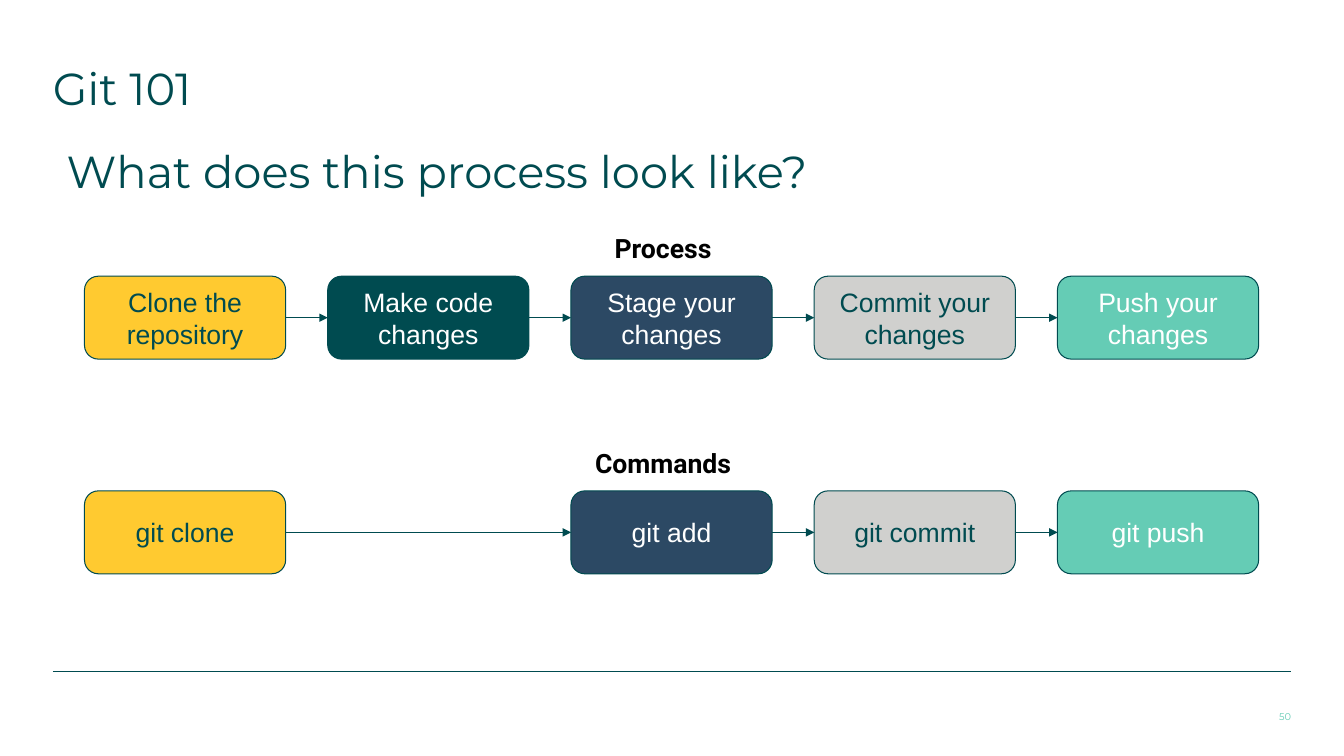
"""Build the Git 101 slide: process steps above their matching commands."""
from lxml import etree
from pptx import Presentation
from pptx.dml.color import RGBColor
from pptx.enum import shapes, text
from pptx.oxml import ns
from pptx.util import Cm, Pt

TEAL = RGBColor(0x00, 0x4B, 0x50)
YELLOW = RGBColor(0xFF, 0xCA, 0x30)
NAVY = RGBColor(0x2C, 0x49, 0x64)
GREY = RGBColor(0xD0, 0xD0, 0xCE)
MINT = RGBColor(0x65, 0xCC, 0xB5)
WHITE = RGBColor(0xFF, 0xFF, 0xFF)
BLACK = RGBColor(0x00, 0x00, 0x00)

TITLE = "Git 101"
QUESTION = "What does this process look like?"
PAGE_NUMBER = "50"
STAGE_COLOURS = [(YELLOW, TEAL), (TEAL, WHITE), (NAVY, WHITE), (GREY, TEAL), (MINT, WHITE)]
ROWS = [
    ("Process", ["Clone the repository", "Make code changes", "Stage your changes",
                 "Commit your changes", "Push your changes"]),
    ("Commands", ["git clone", None, "git add", "git commit", "git push"]),
]

STAGE_LEFT, STAGE_PITCH, STAGE_WIDTH, STAGE_HEIGHT = 2.13, 6.13, 5.07, 2.09
HEADING_TOP, ROW_PITCH, STAGE_DROP = 5.51, 5.41, 1.45
INSET = 0.33


def write(holder, words, size, font, colour, align, anchor, inset=0.0, bold=False):
    """Put one formatted paragraph into a shape."""
    frame = holder.text_frame
    frame.text = words
    frame.word_wrap = True
    frame.auto_size = text.MSO_AUTO_SIZE.NONE
    frame.vertical_anchor = anchor
    frame.margin_left = frame.margin_right = Cm(inset)
    frame.margin_top = frame.margin_bottom = Cm(inset)
    paragraph = frame.paragraphs[0]
    paragraph.alignment = align
    paragraph.space_before = Pt(0)
    paragraph.line_spacing = 1.0
    run_font = paragraph.runs[0].font
    run_font.size, run_font.name, run_font.bold = Pt(size), font, bold
    run_font.color.rgb = colour


def place(holder, left, top, width, height):
    """Move and size a placeholder."""
    holder.left, holder.top = Cm(left), Cm(top)
    holder.width, holder.height = Cm(width), Cm(height)


def add_rule(owner, x1, y1, x2, y2):
    """Draw a thin teal line without a shadow."""
    rule = owner.add_connector(shapes.MSO_CONNECTOR.STRAIGHT, Cm(x1), Cm(y1), Cm(x2), Cm(y2))
    rule.line.color.rgb = TEAL
    rule.line.width = Pt(0.75)
    etree.SubElement(rule._element.spPr, ns.qn("a:effectLst"))
    return rule


def add_arrow(owner, start, end):
    """Join the right side of one stage to the left side of the next."""
    arrow = add_rule(owner, 0, 0, 0, 0)
    arrow.begin_connect(start, 3)
    arrow.end_connect(end, 1)
    etree.SubElement(arrow.line._get_or_add_ln(), ns.qn("a:tailEnd"), type="triangle")


def add_stage(owner, words, column, top):
    """Draw one rounded stage box in its column."""
    fill, ink = STAGE_COLOURS[column]
    stage = owner.add_shape(shapes.MSO_SHAPE.ROUNDED_RECTANGLE,
                            Cm(STAGE_LEFT + column * STAGE_PITCH), Cm(top),
                            Cm(STAGE_WIDTH), Cm(STAGE_HEIGHT))
    stage.shadow.inherit = False
    stage.fill.solid()
    stage.fill.fore_color.rgb = fill
    stage.line.color.rgb = TEAL
    stage.line.width = Pt(0.75)
    write(stage, words, 19, "Arial", ink, text.PP_ALIGN.CENTER, text.MSO_ANCHOR.MIDDLE, INSET)
    return stage


def main():
    """Compose and save the slide."""
    deck = Presentation()
    deck.slide_width, deck.slide_height = Cm(33.87), Cm(19.05)
    slide = deck.slides.add_slide(deck.slide_layouts[0])
    add_rule(slide.shapes, 1.33, 16.92, 32.54, 16.92)

    title, question = slide.placeholders
    place(title, 1.33, 1.52, 31.2, 1.37)
    place(question, 1.68, 3.63, 30.73, 1.2)
    for holder, words in ((title, TITLE), (question, QUESTION)):
        write(holder, words, 32, "Montserrat", TEAL, text.PP_ALIGN.LEFT, text.MSO_ANCHOR.TOP)

    for row, (heading, labels) in enumerate(ROWS):
        top = HEADING_TOP + row * ROW_PITCH
        caption = slide.shapes.add_textbox(Cm(10.97), Cm(top), Cm(11.48), Cm(1.5))
        write(caption, heading, 19, "Roboto", BLACK, text.PP_ALIGN.CENTER,
              text.MSO_ANCHOR.TOP, INSET, bold=True)
        flow = slide.shapes.add_group_shape().shapes
        stages = [add_stage(flow, words, column, top + STAGE_DROP)
                  for column, words in enumerate(labels) if words]
        for start, end in zip(stages, stages[1:]):
            add_arrow(flow, start, end)

    number = slide.shapes.add_textbox(Cm(31.88), Cm(17.78), Cm(0.66), Cm(0.58))
    write(number, PAGE_NUMBER, 7, "Montserrat", MINT, text.PP_ALIGN.RIGHT, text.MSO_ANCHOR.MIDDLE)
    deck.save("out.pptx")


if __name__ == "__main__":
    main()
